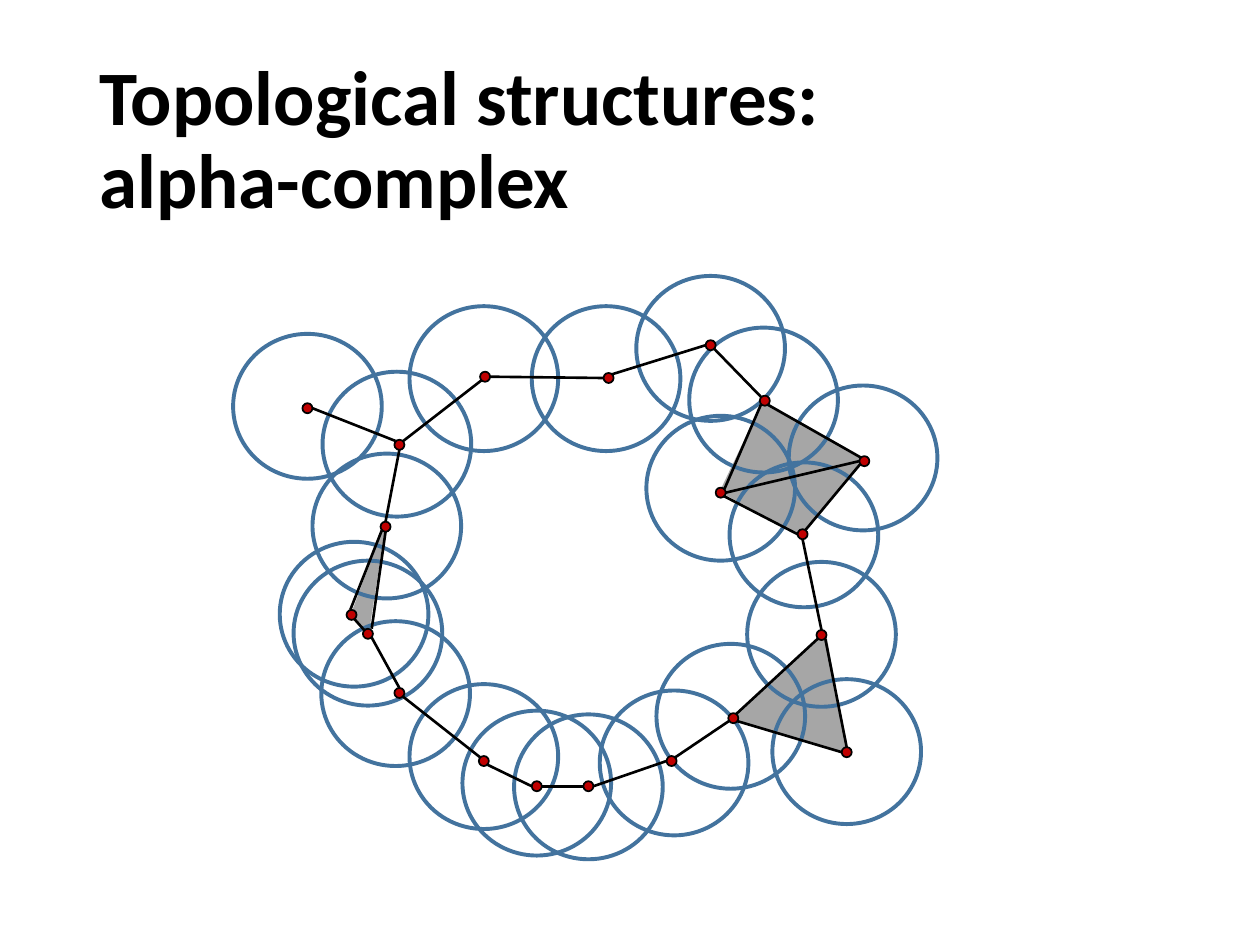
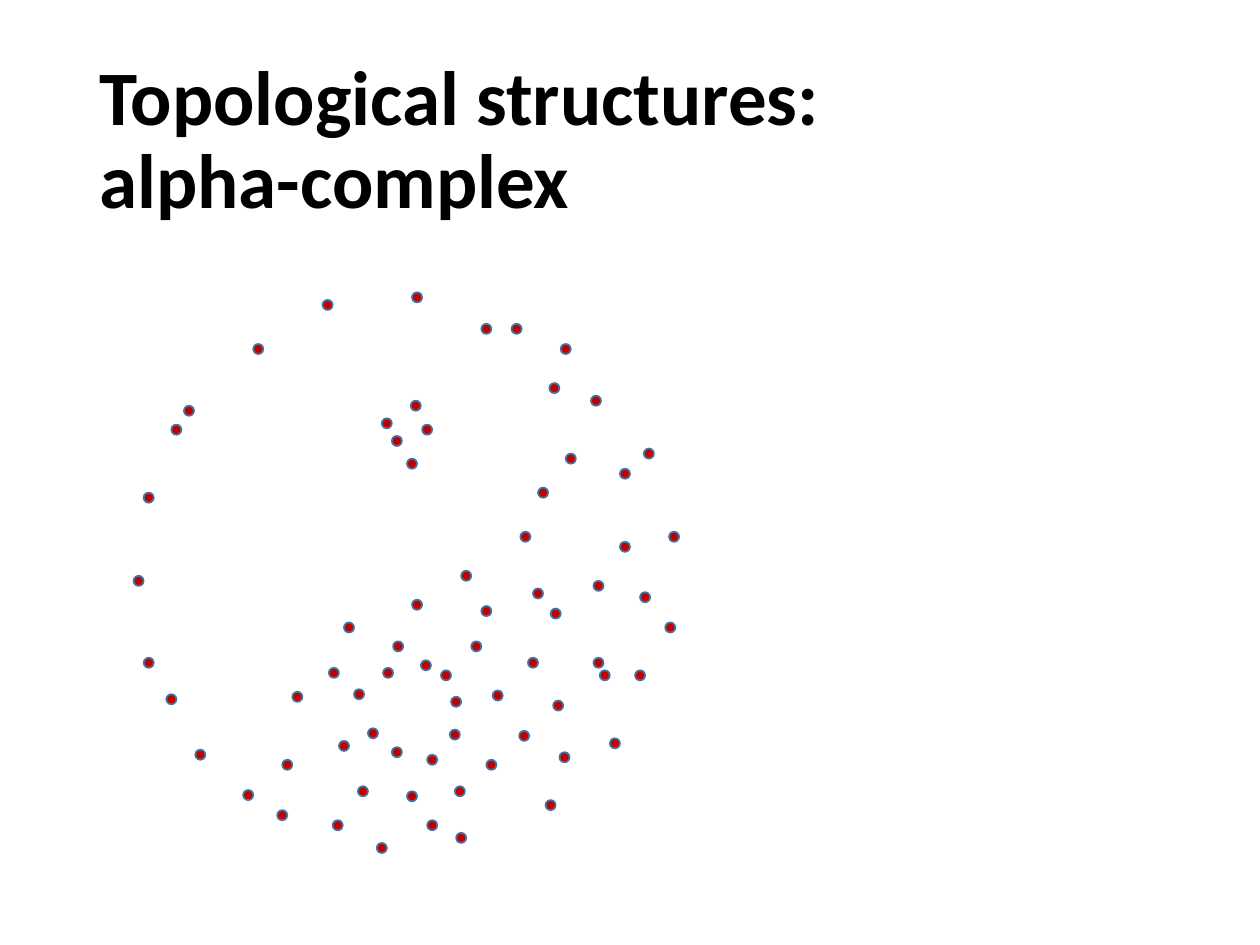
from dataclasses import dataclass
from lxml.etree import SubElement
from pptx import Presentation
from pptx.dml.color import RGBColor
from pptx.enum.shapes import MSO_CONNECTOR as CONN, MSO_SHAPE as SHAPE
from pptx.enum.text import MSO_ANCHOR as ANCHOR, PP_ALIGN as ALIGN
from pptx.oxml.ns import qn
from pptx.util import Emu, Pt

SCALE = 9144
COLORS = {"ink": "000000", "ring": "43739E", "dot": "C00000", "face": "A6A6A6"}
TITLE_LINES = ("Topological structures: ", "alpha-complex")
TITLE_BOX = (69, 40, 862, 145)
TITLE_FRAME = {"word_wrap": True, "vertical_anchor": ANCHOR.MIDDLE}
TITLE_PARA = {"line_spacing": 0.9, "alignment": ALIGN.LEFT}
TITLE_FONT = {"name": "Calibri", "size": Pt(44), "bold": True}


@dataclass(frozen=True)
class Look:
    """Fill and outline of a shape, as keys of COLORS and points."""
    line: str
    weight: float
    fill: str | None = None


@dataclass(frozen=True)
class Oval:
    """An ellipse size with its look."""
    width: int
    height: int
    look: Look


FACE = Look("face", 1, "face")
EDGE = Look("ink", 1.5)
BALL = Oval(118, 115, Look("ring", 2.25))
VERTEX = Oval(8, 8, Look("ink", 1, "dot"))
SAMPLE = Oval(8, 8, Look("ring", 1, "dot"))

FACES = [
    [(606, 319), (572, 390), (635, 424), (686, 365)],
    [(581, 570), (655, 503), (672, 597)],
    [(305, 419), (279, 488), (292, 503)],
]
BALLS = [
    (185, 265), (233, 445), (255, 493), (325, 543), (367, 564), (408, 567),
    (476, 548), (521, 511), (613, 539), (593, 446), (579, 367), (513, 330),
    (547, 260), (626, 306), (256, 295), (325, 243), (422, 243), (505, 219),
    (248, 360), (222, 430),
]
EDGES = [
    (575, 388, 604, 321), (609, 321, 683, 363), (567, 277, 604, 315),
    (486, 297, 560, 274), (389, 299, 479, 300), (320, 350, 382, 302),
    (248, 324, 314, 350), (278, 484, 303, 421), (289, 500, 281, 491),
    (317, 546, 295, 506), (306, 414, 317, 357), (381, 601, 320, 553),
    (471, 624, 529, 604), (639, 421, 683, 368), (575, 394, 633, 424),
    (652, 500, 637, 428), (655, 507, 672, 593), (584, 567, 649, 507),
    (536, 601, 579, 572), (584, 572, 668, 597), (295, 499, 306, 422),
    (576, 391, 682, 366), (387, 607, 422, 624), (430, 624, 463, 624),
]
VERTICES = [
    (568, 387), (240, 320), (529, 600), (668, 593), (648, 500), (633, 420),
    (682, 362), (603, 314), (560, 270), (479, 296), (381, 295), (313, 349),
    (302, 414), (275, 484), (288, 499), (313, 546), (578, 566), (380, 600),
    (463, 620), (422, 620),
]
SAMPLES = [
    (256, 238), (201, 273), (326, 318), (311, 346), (335, 337), (323, 364),
    (303, 332), (327, 476), (146, 322), (136, 337), (114, 391), (106, 457),
    (114, 522), (224, 603), (132, 551), (155, 595), (193, 627), (220, 643),
    (327, 232), (382, 257), (406, 257), (445, 273), (436, 304), (469, 314),
    (449, 360), (427, 387), (492, 372), (492, 430), (264, 651), (531, 422),
    (299, 669), (508, 470), (232, 549), (273, 494), (261, 530), (312, 509),
    (269, 588), (366, 453), (471, 522), (423, 467), (439, 556), (281, 547),
    (357, 579), (437, 483), (350, 532), (391, 548), (311, 593), (504, 532),
    (484, 586), (444, 597), (433, 635), (362, 661), (323, 628), (386, 603),
    (374, 509), (339, 599), (292, 578), (361, 624), (304, 530), (358, 553),
    (413, 422), (511, 356), (419, 522), (471, 461), (528, 494), (284, 624),
    (334, 524), (382, 481), (412, 580), (339, 651), (476, 532),
]


def emu(*lengths: int) -> list[Emu]:
    """Turn px lengths into EMU."""
    return [Emu(n * SCALE) for n in lengths]


def rgb(key: str) -> RGBColor:
    """Look up a named colour."""
    return RGBColor.from_string(COLORS[key])


def apply(target, values: dict) -> None:
    """Set every attribute given in values on target."""
    for name, value in values.items():
        setattr(target, name, value)


def draw_line(line, look: Look) -> None:
    """Give an outline its colour and weight."""
    line.color.rgb = rgb(look.line)
    line.width = Pt(look.weight)


def paint(s, look: Look) -> None:
    """Apply a look to a shape and drop its shadow."""
    s.shadow.inherit = False
    if look.fill:
        s.fill.solid()
        s.fill.fore_color.rgb = rgb(look.fill)
    else:
        s.fill.background()
    draw_line(s.line, look)


def add_ovals(slide, oval: Oval, corners: list[tuple[int, int]]) -> None:
    """Draw one oval at each left-top corner."""
    for x, y in corners:
        box = emu(x, y, oval.width, oval.height)
        paint(slide.shapes.add_shape(SHAPE.OVAL, *box), oval.look)


def add_face(slide, points: list[tuple[int, int]]) -> None:
    """Draw a filled polygon."""
    builder = slide.shapes.build_freeform(*points[0], scale=SCALE)
    builder.add_line_segments(points[1:], close=True)
    paint(builder.convert_to_shape(), FACE)


def add_edge(slide, ends: tuple[int, int, int, int]) -> None:
    """Draw a straight edge."""
    s = slide.shapes.add_connector(CONN.STRAIGHT, *emu(*ends))
    draw_line(s.line, EDGE)
    SubElement(s.element.spPr, qn("a:effectLst"))


def add_title(slide) -> None:
    """Write the shared two-line title."""
    tf = slide.shapes.add_textbox(*emu(*TITLE_BOX)).text_frame
    apply(tf, TITLE_FRAME)
    p = tf.paragraphs[0]
    apply(p, TITLE_PARA)
    for i, text in enumerate(TITLE_LINES):
        if i:
            p.add_line_break()
        r = p.add_run()
        r.text = text
        apply(r.font, TITLE_FONT)
        r.font.color.rgb = rgb("ink")


def build_complex(slide) -> None:
    """Draw the alpha-complex with its balls."""
    for points in FACES:
        add_face(slide, points)
    add_ovals(slide, BALL, BALLS)
    for ends in EDGES:
        add_edge(slide, ends)
    add_title(slide)
    add_ovals(slide, VERTEX, VERTICES)


def build_samples(slide) -> None:
    """Draw the bare point sample."""
    add_title(slide)
    add_ovals(slide, SAMPLE, SAMPLES)


def main() -> None:
    """Build and save both slides."""
    prs = Presentation()
    prs.slide_width, prs.slide_height = emu(1000, 750)
    for build in (build_complex, build_samples):
        build(prs.slides.add_slide(prs.slide_layouts[6]))
    prs.save("out.pptx")


if __name__ == "__main__":
    main()
